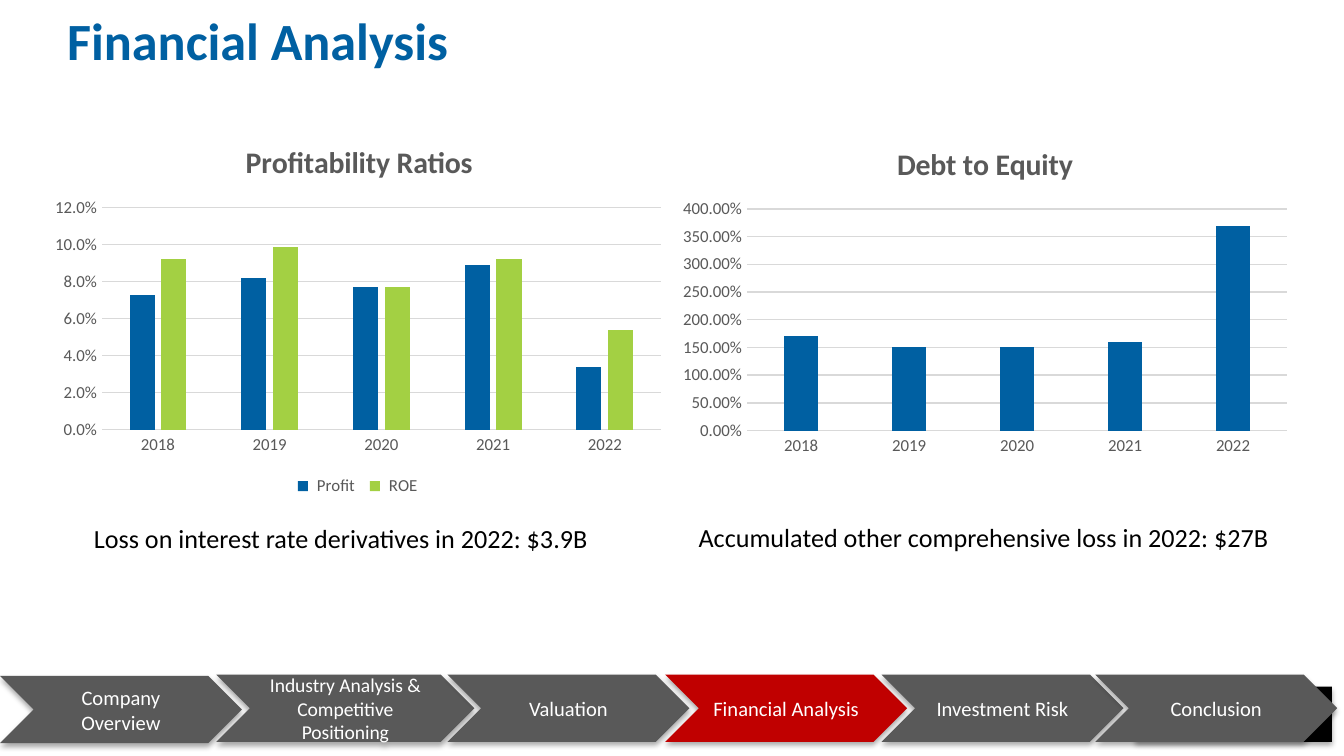
from dataclasses import dataclass

from lxml import etree
from pptx import Presentation
from pptx.chart.data import CategoryChartData
from pptx.dml.color import RGBColor
from pptx.enum.chart import XL_CHART_TYPE, XL_LEGEND_POSITION, XL_TICK_MARK
from pptx.enum.shapes import MSO_SHAPE
from pptx.enum.text import MSO_ANCHOR, PP_ALIGN
from pptx.oxml import parse_xml
from pptx.oxml.ns import nsdecls, qn
from pptx.util import Inches, Pt

CHEVRON, RECTANGLE = MSO_SHAPE.CHEVRON, MSO_SHAPE.RECTANGLE
CENTER, LEFT, MIDDLE = PP_ALIGN.CENTER, PP_ALIGN.LEFT, MSO_ANCHOR.MIDDLE
COLUMNS, BOTTOM = XL_CHART_TYPE.COLUMN_CLUSTERED, XL_LEGEND_POSITION.BOTTOM
NO_TICK = XL_TICK_MARK.NONE
FONT = "Calibri"
COLORS = {"blue": "0060A2", "green": "A3D043", "gray": "595959", "red": "C00000",
          "grid": "D9D9D9", "black": "000000", "white": "FFFFFF"}
YEARS = ["2018", "2019", "2020", "2021", "2022"]


@dataclass
class Step:
    text: str
    left: float
    top: float = 5.02
    width: float = 1.8
    size: float = 11
    color: str = "gray"


@dataclass
class Series:
    name: str
    values: list[float]
    color: str


@dataclass
class ColumnChart:
    title: str
    left: float
    height: float
    number_format: str
    series: list[Series]
    title_spot: dict[str, float]  # fractions of the chart area
    plot_spot: dict[str, float]
    legend: bool = False


@dataclass
class Caption:
    text: str
    left: float
    top: float
    width: float


STEPS = [
    Step("Company Overview", 0, top=5.03),
    Step("Industry Analysis & Competitive Positioning", 1.61, width=1.92, size=10.5),
    Step("Valuation", 3.33),
    Step("Financial Analysis", 4.95, color="red"),
    Step("Investment Risk", 6.56),
    Step("Conclusion", 8.15),
]
CHARTS = [
    ColumnChart("Profitability Ratios", 0.34, 2.8, "0.0%",
                [Series(" Profit ", [0.073, 0.082, 0.077, 0.089, 0.034], "blue"),
                 Series(" ROE ", [0.092, 0.099, 0.077, 0.092, 0.054], "green")],
                {"x": 0.31, "y": 0.03}, {"x": 0.09, "y": 0.22, "w": 0.89, "h": 0.59},
                legend=True),
    ColumnChart("Debt to Equity", 5, 2.5, "0.00%",
                [Series("Series 1", [1.7, 1.5, 1.5, 1.6, 3.7], "blue")],
                {"x": 0.35, "y": 0.04}, {"x": 0.12, "y": 0.25, "w": 0.86, "h": 0.66}),
]
CAPTIONS = [
    Caption("Loss on interest rate derivatives in 2022: $3.9B", 0.6, 3.84, 4.04),
    Caption("Accumulated other comprehensive loss in 2022: $27B", 5.1, 3.83, 4.5),
]


def rgb(name: str) -> RGBColor:
    return RGBColor.from_string(COLORS[name])


def format_font(font, size: float, color: str, bold: bool = False) -> None:
    font.name, font.size, font.bold = FONT, Pt(size), bold
    font.color.rgb = rgb(color)


def write(frame, text: str, *, size: float, color: str, bold: bool = False,
          align=LEFT, anchor=None, after: float = 0) -> None:
    frame.word_wrap = True
    if anchor is not None:
        frame.vertical_anchor = anchor
    para = frame.paragraphs[0]
    para.alignment, para.space_after = align, Pt(after)
    span = para.add_run()
    span.text = text
    format_font(span.font, size, color, bold)


def add_block(page, kind, left: float, top: float, width: float, height: float,
              color: str):
    block = page.shapes.add_shape(kind, Inches(left), Inches(top),
                                  Inches(width), Inches(height))
    block.fill.solid()
    block.fill.fore_color.rgb = rgb(color)
    block.line.fill.background()
    # A soft shadow falling straight down
    block.shadow.inherit = False
    effects = block._element.spPr.find(qn("a:effectLst"))
    effects.append(parse_xml(
        f'<a:outerShdw {nsdecls("a")} blurRad="{Pt(3.1)}" dist="{Pt(1.8)}" '
        f'dir="5400000" rotWithShape="0"><a:srgbClr val="{COLORS["black"]}">'
        '<a:alpha val="35000"/></a:srgbClr></a:outerShdw>'))
    return block


def add_step(page, step: Step) -> None:
    block = add_block(page, CHEVRON, step.left, step.top, step.width, 0.5, step.color)
    write(block.text_frame, step.text, size=step.size, color="white",
          align=CENTER, anchor=MIDDLE)


def place(element, spot: dict[str, float], inner: bool = False) -> None:
    """Set a manual layout on a chart title or plot area."""
    layout = element.find(qn("c:layout"))
    if layout is None:
        layout = etree.Element(qn("c:layout"))
        text = element.find(qn("c:tx"))
        element.insert(0 if text is None else 1, layout)
    manual = etree.SubElement(layout, qn("c:manualLayout"))
    if inner:
        etree.SubElement(manual, qn("c:layoutTarget"), val="inner")
    for key in "xy":
        etree.SubElement(manual, qn(f"c:{key}Mode"), val="edge")
    for key, value in spot.items():
        etree.SubElement(manual, qn(f"c:{key}"), val=str(value))


def add_column_chart(page, item: ColumnChart) -> None:
    data = CategoryChartData(number_format=item.number_format)
    data.categories = YEARS
    for series in item.series:
        data.add_series(series.name, series.values)
    chart = page.shapes.add_chart(COLUMNS, Inches(item.left), Inches(0.93),
                                  Inches(4.67), Inches(item.height), data).chart
    format_font(chart.font, 10, "black")

    # Title and legend
    title_span = chart.chart_title.text_frame.paragraphs[0].add_run()
    title_span.text = item.title
    format_font(title_span.font, 16, "gray", bold=True)
    chart.chart_title.include_in_layout = False
    place(chart.chart_title._element, item.title_spot)
    chart.has_legend = item.legend
    if item.legend:
        chart.legend.position = BOTTOM
        chart.legend.include_in_layout = False
        format_font(chart.legend.font, 9, "gray")

    # Axes
    for axis in (chart.category_axis, chart.value_axis):
        axis.major_tick_mark = axis.minor_tick_mark = NO_TICK
        format_font(axis.tick_labels.font, 9, "gray")
    chart.value_axis.format.line.fill.background()
    chart.value_axis.tick_labels.number_format = item.number_format
    chart.value_axis.tick_labels.number_format_is_linked = False
    for line in (chart.category_axis.format.line,
                 chart.value_axis.major_gridlines.format.line):
        line.color.rgb, line.width = rgb("grid"), Pt(0.75)

    # Columns
    plot = chart.plots[0]
    plot.gap_width, plot.overlap, plot.vary_by_categories = 219, -27, False
    for column, series in zip(plot.series, item.series):
        column.format.fill.solid()
        column.format.fill.fore_color.rgb = rgb(series.color)
    place(chart._chartSpace.chart.plotArea, item.plot_spot, inner=True)


def main() -> None:
    # A 16:9 page
    deck = Presentation()
    deck.slide_width, deck.slide_height = Inches(10), Inches(10 * 9 / 16)
    page = deck.slides.add_slide(deck.slide_layouts[5])

    # Title
    title = page.shapes.title
    title.left, title.top = Inches(0.4), Inches(0)
    title.width, title.height = Inches(9), Inches(0.59)
    write(title.text_frame, "Financial Analysis", size=28, color="blue", bold=True,
          anchor=MIDDLE, after=6)

    # Progress bar, with a black block behind the last step
    for step in STEPS[:-1]:
        add_step(page, step)
    add_block(page, RECTANGLE, 8.45, 5.11, 1.46, 0.41, "black")
    add_step(page, STEPS[-1])

    # Charts and their captions
    for item in CHARTS:
        add_column_chart(page, item)
    for caption in CAPTIONS:
        box = page.shapes.add_textbox(Inches(caption.left), Inches(caption.top),
                                      Inches(caption.width), Inches(0.34))
        write(box.text_frame, caption.text, size=14, color="black")

    deck.save("out.pptx")


if __name__ == "__main__":
    main()
